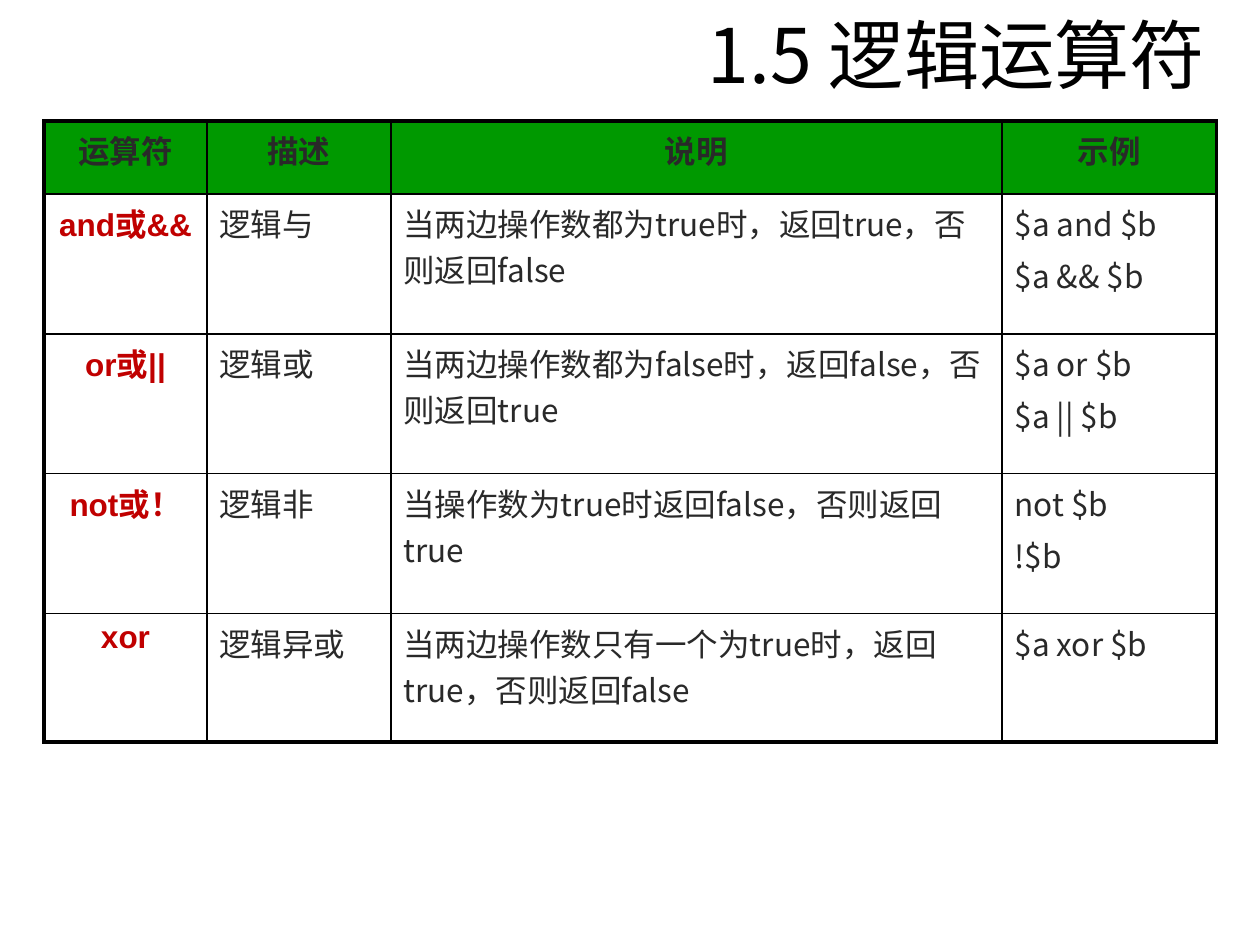
from dataclasses import dataclass

from lxml import etree
from pptx import Presentation
from pptx.dml.color import RGBColor
from pptx.enum.text import MSO_ANCHOR, PP_ALIGN
from pptx.oxml.ns import qn
from pptx.util import Cm, Pt

CENTER, LEFT, RIGHT = PP_ALIGN.CENTER, PP_ALIGN.LEFT, PP_ALIGN.RIGHT
MIDDLE = MSO_ANCHOR.MIDDLE
TITLE_ONLY = 5


@dataclass(frozen=True)
class Theme:
    cjk_font: str = "Noto Sans CJK SC"
    latin_font: str = "Arial"
    title_size: float = 43
    body_size: float = 18
    para_gap: float = 3.6
    outer_line: float = 2.25
    inner_line: float = 1
    title_color: str = "000000"
    text_color: str = "292929"
    operator_color: str = "C00000"
    header_fill: str = "009900"
    line_color: str = "000000"


class SlideBuilder:
    def __init__(self, page, theme):
        self.page = page
        self.theme = theme

    def format_para(self, para, size, color, align, font, bold=False):
        para.alignment = align
        for span in para.runs:
            span.font.size = Pt(size)
            span.font.bold = bold
            span.font.name = font
            span.font.color.rgb = RGBColor.from_string(color)
            east_asian = etree.Element(qn("a:ea"), typeface=self.theme.cjk_font)
            span.font._element.find(qn("a:latin")).addnext(east_asian)

    def title(self, text, left, top, width, height):
        theme = self.theme
        box = self.page.shapes.title
        box.left, box.top = Cm(left), Cm(top)
        box.width, box.height = Cm(width), Cm(height)
        frame = box.text_frame
        frame.text = text
        frame.word_wrap = True
        frame.vertical_anchor = MIDDLE
        self.format_para(frame.paragraphs[0], theme.title_size,
                         theme.title_color, RIGHT, theme.cjk_font)

    def border(self, cell, side, width):
        """Draw one edge of a cell; side is L, R, T or B, in that order."""
        properties = cell._tc.get_or_add_tcPr()
        line = etree.SubElement(properties, qn(f"a:ln{side}"), w=str(Pt(width)))
        fill = etree.SubElement(line, qn("a:solidFill"))
        etree.SubElement(fill, qn("a:srgbClr"), val=self.theme.line_color)

    def table_cell(self, cell, text, header, operator):
        theme = self.theme
        cell.text = text
        color = theme.operator_color if operator else theme.text_color
        font = theme.latin_font if operator else theme.cjk_font
        for para in cell.text_frame.paragraphs:
            para.space_before = Pt(theme.para_gap)
            self.format_para(para, theme.body_size, color,
                             CENTER if header or operator else LEFT,
                             font, header or operator)
        if header:
            cell.fill.solid()
            cell.fill.fore_color.rgb = RGBColor.from_string(theme.header_fill)
        else:
            cell.fill.background()

    def table(self, rows, left, top, widths, heights):
        """Add a table with a header row, an operator column and a thick frame."""
        theme = self.theme
        grid = self.page.shapes.add_table(
            len(heights), len(widths), Cm(left), Cm(top),
            Cm(sum(widths)), Cm(sum(heights))).table
        grid.first_row = grid.horz_banding = False
        for column, width in zip(grid.columns, widths):
            column.width = Cm(width)
        for row, height in zip(grid.rows, heights):
            row.height = Cm(height)
        last_row, last_column = len(heights) - 1, len(widths) - 1
        for r, texts in enumerate(rows):
            for c, text in enumerate(texts):
                cell = grid.cell(r, c)
                on_frame = {"L": c == 0, "R": c == last_column,
                            "T": r == 0, "B": r == last_row}
                for side, outer in on_frame.items():
                    self.border(cell, side,
                                theme.outer_line if outer else theme.inner_line)
                self.table_cell(cell, text, r == 0, r > 0 and c == 0)


OPERATORS = [
    ("运算符", "描述", "说明", "示例"),
    ("and或&&", "逻辑与", "当两边操作数都为true时，返回true，否则返回false",
     "$a and $b\n$a && $b"),
    ("or或||", "逻辑或", "当两边操作数都为false时，返回false，否则返回true",
     "$a or $b\n$a || $b"),
    ("not或！", "逻辑非", "当操作数为true时返回false，否则返回true",
     "not $b\n!$b"),
    ("xor", "逻辑异或", "当两边操作数只有一个为true时，返回true，否则返回false",
     "$a xor $b"),
]


def main():
    deck = Presentation()
    deck.slide_width, deck.slide_height = Cm(25.4), Cm(19.05)
    page = deck.slides.add_slide(deck.slide_layouts[TITLE_ONLY])
    builder = SlideBuilder(page, Theme())
    builder.title("1.5 逻辑运算符", 7.09, 0.2, 17.45, 1.75)
    builder.table(OPERATORS, 0.89, 2.44,
                  widths=[3.28, 3.71, 12.32, 4.32],
                  heights=[1.47, 2.82, 2.82, 2.82, 2.59])
    deck.save("out.pptx")


if __name__ == "__main__":
    main()
